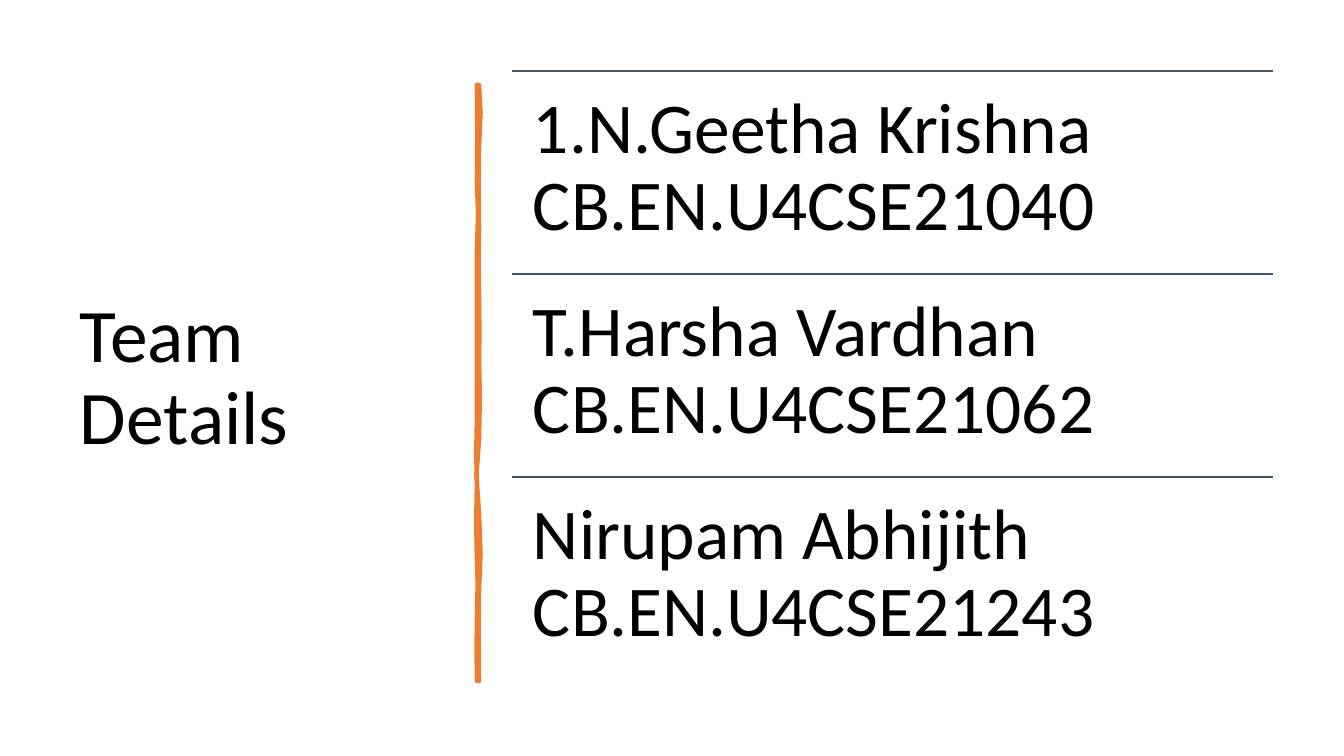
from dataclasses import dataclass
from typing import NamedTuple

from lxml.etree import SubElement
from pptx import Presentation
from pptx.dml.color import RGBColor
from pptx.enum.shapes import MSO_CONNECTOR
from pptx.enum.text import MSO_ANCHOR
from pptx.oxml.ns import qn
from pptx.util import Emu, Pt

EMU_PER_PX = 914400 / 100.8


@dataclass(frozen=True)
class Theme:
    """Colours, font and sizes of the slide."""
    text: RGBColor = RGBColor(0, 0, 0)
    accent: RGBColor = RGBColor(0xED, 0x7D, 0x31)
    rule: RGBColor = RGBColor(0x44, 0x54, 0x6A)
    font: str = "Calibri"
    title_size: float = 54
    member_size: float = 51
    line_spacing: float = 0.9
    rule_width: float = 1
    stroke_width: float = 3.25


class Point(NamedTuple):
    """A place on the slide in px."""
    x: int
    y: int


class Box(NamedTuple):
    """A rectangle on the slide in px."""
    left: int
    top: int
    width: int
    height: int


class Curve(NamedTuple):
    """A cubic curve from the current point to its end."""
    first: Point
    second: Point
    end: Point


@dataclass(frozen=True)
class Member:
    """A team member with a roll number."""
    name: str
    roll: str


THEME = Theme()
TITLE_BOX = Box(70, 71, 377, 616)
FIRST_ROW = Box(512, 71, 761, 203)
MEMBERS = (
    Member("1.N.Geetha Krishna", "CB.EN.U4CSE21040"),
    Member("T.Harsha Vardhan", "CB.EN.U4CSE21062"),
    Member("Nirupam Abhijith", "CB.EN.U4CSE21243"),
)
STROKE_START = Point(479, 85)
STROKE_CURVES = tuple(
    Curve(Point(a, b), Point(c, d), Point(e, f))
    for a, b, c, d, e, f in (
        (481, 103, 481, 120, 479, 147),
        (477, 174, 480, 197, 479, 228),
        (478, 259, 479, 264, 479, 296),
        (478, 328, 481, 345, 479, 359),
        (477, 373, 483, 417, 479, 439),
        (475, 461, 476, 488, 479, 514),
        (481, 540, 481, 569, 479, 589),
        (477, 608, 480, 655, 479, 681),
        (478, 681, 477, 681, 477, 681),
        (478, 651, 475, 649, 477, 618),
        (478, 588, 478, 575, 477, 561),
        (476, 548, 476, 499, 477, 481),
        (477, 463, 475, 449, 477, 418),
        (478, 389, 476, 376, 477, 338),
        (478, 300, 476, 283, 477, 252),
        (478, 220, 479, 202, 477, 182),
        (474, 164, 481, 105, 477, 85),
    )
)


def px(length: float) -> Emu:
    """Turn px into EMU."""
    return Emu(round(length * EMU_PER_PX))


def add_text(shapes, text: str, box: Box, *, size: float, inset: Point,
             anchor: MSO_ANCHOR) -> None:
    """Add a wrapped text box."""
    frame = shapes.add_textbox(*map(px, box)).text_frame
    frame.word_wrap = True
    frame.vertical_anchor = anchor
    frame.margin_left = frame.margin_right = px(inset.x)
    frame.margin_top = frame.margin_bottom = px(inset.y)
    para = frame.paragraphs[0]
    para.line_spacing = THEME.line_spacing
    span = para.add_run()
    span.text = text
    span.font.name = THEME.font
    span.font.size = Pt(size)
    span.font.color.rgb = THEME.text


def add_rule(shapes, start: Point, end: Point) -> None:
    """Add a thin straight line."""
    rule = shapes.add_connector(MSO_CONNECTOR.STRAIGHT, *map(px, start + end))
    rule.line.color.rgb = THEME.rule
    rule.line.width = Pt(THEME.rule_width)
    SubElement(rule._element.spPr, qn("a:effectLst"))


def halve(start: Point, curve: Curve) -> list[tuple[Emu, Emu]]:
    """Return the middle and the end of a cubic curve in EMU."""
    middle = [
        (a + 3 * b + 3 * c + d) / 8 for a, b, c, d in zip(start, *curve)
    ]
    return [tuple(map(px, middle)), tuple(map(px, curve.end))]


def add_brush_stroke(shapes) -> None:
    """Add the hand-drawn vertical divider."""
    builder = shapes.build_freeform(*map(px, STROKE_START))
    start = STROKE_START
    for curve in STROKE_CURVES:
        builder.add_line_segments(halve(start, curve), close=False)
        start = curve.end
    builder.add_line_segments([tuple(map(px, STROKE_START))], close=True)
    stroke = builder.convert_to_shape()
    stroke.shadow.inherit = False
    stroke.fill.solid()
    stroke.fill.fore_color.rgb = THEME.accent
    stroke.line.color.rgb = THEME.accent
    stroke.line.width = Pt(THEME.stroke_width)
    SubElement(stroke.line._get_or_add_ln(), qn("a:round"))


def add_members(shapes) -> None:
    """Add one ruled row per team member."""
    for index, member in enumerate(MEMBERS):
        row = FIRST_ROW._replace(top=FIRST_ROW.top + index * FIRST_ROW.height)
        add_rule(shapes, Point(row.left, row.top),
                 Point(row.left + row.width, row.top))
        add_text(shapes, f"{member.name} {member.roll}", row,
                 size=THEME.member_size, inset=Point(21, 21),
                 anchor=MSO_ANCHOR.TOP)


def main() -> None:
    """Build and save the slide."""
    deck = Presentation()
    deck.slide_width, deck.slide_height = px(1344), px(756)
    page = deck.slides.add_slide(deck.slide_layouts[6])
    add_text(page.shapes, "Team Details", TITLE_BOX, size=THEME.title_size,
             inset=Point(10, 5), anchor=MSO_ANCHOR.MIDDLE)
    add_brush_stroke(page.shapes)
    add_members(page.shapes.add_group_shape().shapes)
    deck.save("out.pptx")


if __name__ == "__main__":
    main()
